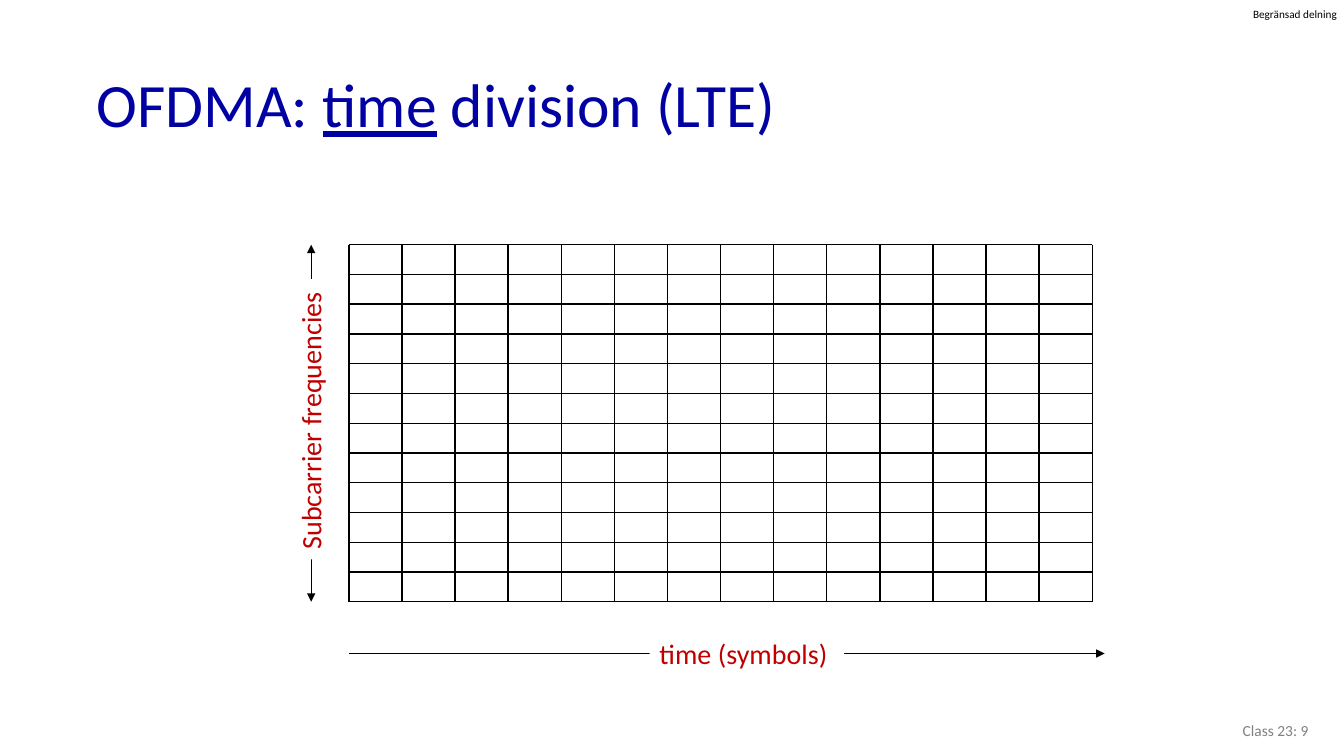
from dataclasses import dataclass

from lxml import etree
from pptx import Presentation
from pptx.dml.color import RGBColor
from pptx.enum import shapes, text
from pptx.oxml import ns
from pptx.util import Pt


@dataclass(frozen=True)
class Theme:
    font: str = "Calibri"
    title_color: str = "0000A3"
    label_color: str = "C00000"
    ink: str = "000000"
    paper: str = "FFFFFF"
    muted: str = "808080"
    title_size: float = 44
    label_size: float = 20
    footer_size: float = 11
    marking_size: float = 8
    grid_weight: float = 1
    thin_weight: float = 0.5


class SlideBuilder:
    def __init__(self, page, theme):
        self.page = page
        self.theme = theme

    def line(self, start, end, weight, heads=()):
        points = [Pt(value) for value in (*start, *end)]
        connector = self.page.shapes.add_connector(shapes.MSO_CONNECTOR.STRAIGHT, *points)
        connector.line.color.rgb = RGBColor.from_string(self.theme.ink)
        connector.line.width = Pt(weight)
        outline = connector._element.spPr.find(ns.qn("a:ln"))
        for head in heads:
            etree.SubElement(outline, ns.qn(f"a:{head}"), type="triangle")
        etree.SubElement(connector._element.spPr, ns.qn("a:effectLst"))

    def fill_text(self, box, spans, size, color, align=text.PP_ALIGN.LEFT,
                  anchor=text.MSO_ANCHOR.TOP, wrap=True, grow=False):
        frame = box.text_frame
        frame.word_wrap = wrap
        frame.vertical_anchor = anchor
        if grow:
            frame.auto_size = text.MSO_AUTO_SIZE.SHAPE_TO_FIT_TEXT
        para = frame.paragraphs[0]
        para.alignment = align
        for words, underlined in spans:
            span = para.add_run()
            span.text = words
            span.font.name = self.theme.font
            span.font.size = Pt(size)
            span.font.color.rgb = RGBColor.from_string(color)
            span.font.underline = underlined
        return frame

    def text_box(self, area, spans, size, color, **layout):
        box = self.page.shapes.add_textbox(*[Pt(value) for value in area])
        return self.fill_text(box, spans, size, color, **layout)

    def axis_label(self, area, words, rotation=0, wrap=True):
        box = self.page.shapes.add_shape(
            shapes.MSO_SHAPE.RECTANGLE, *[Pt(value) for value in area])
        box.shadow.inherit = False
        box.fill.solid()
        box.fill.fore_color.rgb = RGBColor.from_string(self.theme.paper)
        box.line.fill.background()
        box.rotation = rotation
        self.fill_text(box, [(words, False)], self.theme.label_size,
                       self.theme.label_color, wrap=wrap, grow=True)

    def grid(self, left, top, right, bottom, columns, rows):
        weight = self.theme.grid_weight
        for row in range(rows + 1):
            y = top + row * (bottom - top) / rows
            self.line((left, y), (right, y), weight)
        for column in range(columns + 1):
            x = left + column * (right - left) / columns
            self.line((x, top), (x, bottom), weight)


def main():
    deck = Presentation()
    deck.slide_width, deck.slide_height = Pt(960), Pt(540)
    theme = Theme()
    slide = SlideBuilder(deck.slides.add_slide(deck.slide_layouts[6]), theme)

    marking = slide.text_box((895, 5, 62, 9.6), [("Begränsad delning", False)],
                             theme.marking_size, theme.ink, wrap=False, grow=True)
    marking.margin_left = marking.margin_right = 0
    marking.margin_top = marking.margin_bottom = 0

    title = slide.text_box(
        (62, 41.8, 828, 70.6),
        [("OFDMA: ", False), ("time", True), (" division (LTE)", False)],
        theme.title_size, theme.title_color, anchor=text.MSO_ANCHOR.MIDDLE)
    title.paragraphs[0].line_spacing = 0.9

    left, top, right, bottom = 249.2, 174.8, 780.2, 429.8
    slide.grid(left, top, right, bottom, columns=14, rows=12)

    slide.line((222.3, top), (222.3, bottom), theme.thin_weight, ("headEnd", "tailEnd"))
    slide.axis_label((121.7, 283.7, 200.2, 31.5), "Subcarrier frequencies",
                     rotation=270, wrap=False)
    slide.line((left, 466.8), (789, 466.8), theme.grid_weight, ("tailEnd",))
    slide.axis_label((464, 451, 139, 31.5), "time (symbols)")

    slide.text_box((725.8, 507.6, 216, 28.8), [("Class 23: 9", False)],
                   theme.footer_size, theme.muted, align=text.PP_ALIGN.RIGHT,
                   anchor=text.MSO_ANCHOR.MIDDLE)
    deck.save("out.pptx")


if __name__ == "__main__":
    main()
